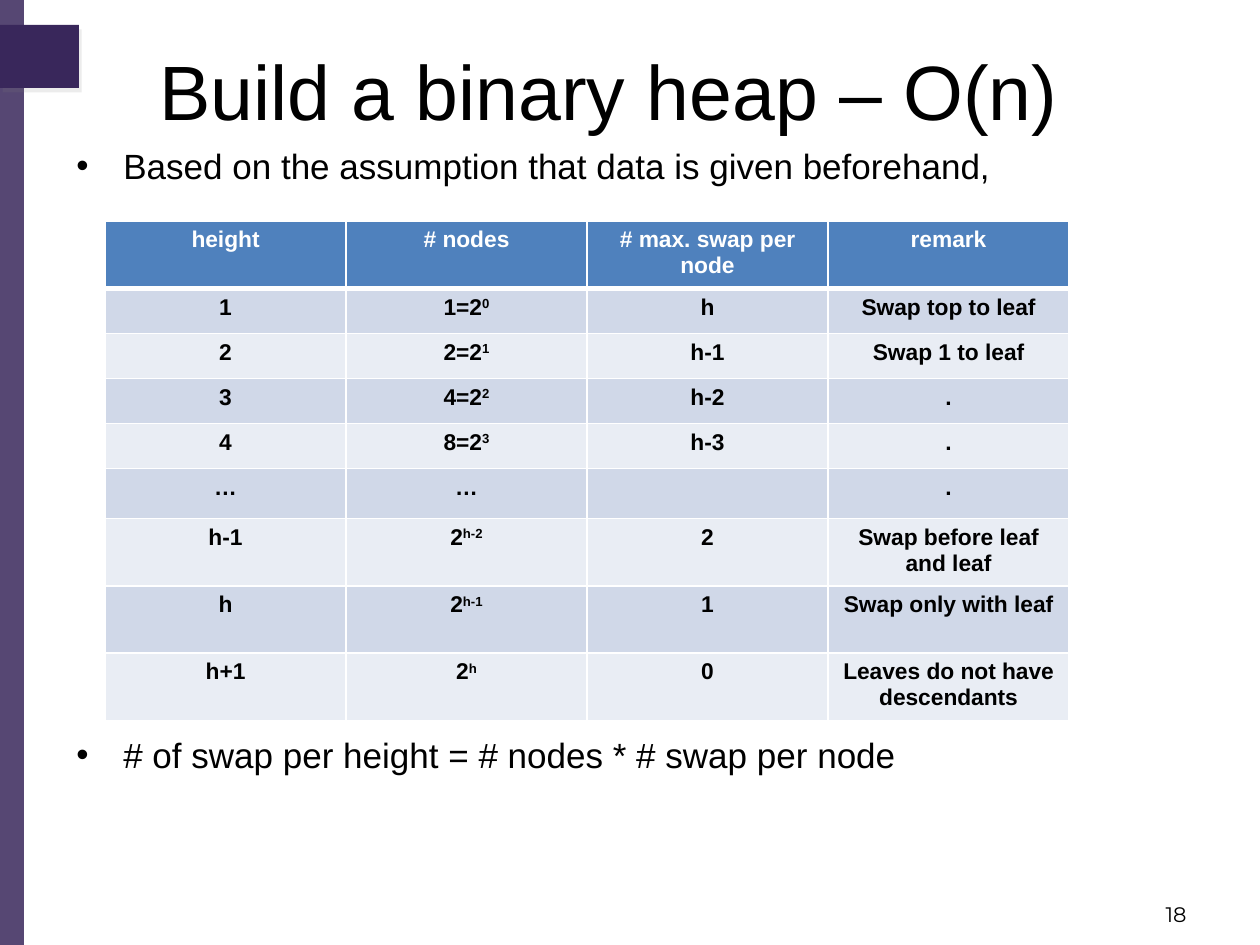
from dataclasses import dataclass

import pptx
import pptx.dml.color
import pptx.enum.shapes
import pptx.enum.text
import pptx.oxml
import pptx.oxml.ns
import pptx.util

PX = 914400 / 126
ALIGN = pptx.enum.text.PP_ALIGN
ANCHOR = pptx.enum.text.MSO_ANCHOR
NAMESPACE = pptx.oxml.ns.nsdecls("a")
PURPLE, BLACK, WHITE = "39275B", "000000", "FFFFFF"
HEADER_BLUE, BANDS = "4F81BD", ("E9EDF4", "D0D8E8")
THIN, THICK = 1, 3


@dataclass(frozen=True)
class Box:
    left: int
    top: int
    width: int
    height: int

    def emu(self) -> tuple[int, ...]:
        return tuple(px(side) for side in (self.left, self.top, self.width, self.height))


@dataclass(frozen=True)
class TextStyle:
    size: int
    color: str = BLACK
    font: str = "Arial"
    bold: bool = False


@dataclass(frozen=True)
class TableRow:
    height: int
    cells: tuple[str, str, str, str]


TITLE = TextStyle(44)
BODY = TextStyle(20)
PAGE = TextStyle(12, font="Montserrat")
HEADER = TextStyle(13, WHITE, bold=True)
CELL = TextStyle(13, bold=True)

BULLETS = (
    (136, "Based on the assumption that data is given beforehand,"),
    (725, "# of swap per height = # nodes * # swap per node"),
)

ROWS = (
    TableRow(67, ("height", "# nodes", "# max. swap per node", "remark")),
    TableRow(45, ("1", "1=2^0", "h", "Swap top to leaf")),
    TableRow(45, ("2", "2=2^1", "h-1", "Swap 1 to leaf")),
    TableRow(45, ("3", "4=2^2", "h-2", ".")),
    TableRow(45, ("4", "8=2^3", "h-3", ".")),
    TableRow(45, ("…", "…", "", ".")),
    TableRow(62, ("h-1", "2^h-2", "2", "Swap before leaf and leaf")),
    TableRow(67, ("h", "2^h-1", "1", "Swap only with leaf")),
    TableRow(67, ("h+1", "2^h", "0", "Leaves do not have descendants")),
)
COLUMN_WIDTH = 241


def px(length: int) -> int:
    return round(length * PX)


def rgb(color: str) -> pptx.dml.color.RGBColor:
    return pptx.dml.color.RGBColor.from_string(color)


def add_run(paragraph, text: str, style: TextStyle):
    run = paragraph.add_run()
    run.text = text
    run.font.size = pptx.util.Pt(style.size)
    run.font.name = style.font
    run.font.bold = style.bold
    run.font.color.rgb = rgb(style.color)
    return run


def add_text(slide, box: Box, text: str, style: TextStyle, align, anchor, top_inset: int = 0):
    frame = slide.shapes.add_textbox(*box.emu()).text_frame
    frame.word_wrap = True
    frame.vertical_anchor = anchor
    frame.margin_top, frame.margin_bottom = px(top_inset), 0
    paragraph = frame.paragraphs[0]
    paragraph.alignment = align
    add_run(paragraph, text, style)
    return paragraph


def add_bullet(slide, top: int, text: str) -> None:
    box = Box(64, top, 1134, 62)
    paragraph = add_text(slide, box, text, BODY, ALIGN.LEFT, ANCHOR.TOP, top_inset=9)
    properties = paragraph._p.get_or_add_pPr()
    properties.set("marL", str(px(47)))
    properties.set("indent", str(-px(47)))
    properties.append(pptx.oxml.parse_xml(f'<a:buFont {NAMESPACE} typeface="Arial"/>'))
    properties.append(pptx.oxml.parse_xml(f'<a:buChar {NAMESPACE} char="•"/>'))


def add_block(slide, box: Box, color: str):
    shape = slide.shapes.add_shape(pptx.enum.shapes.MSO_SHAPE.RECTANGLE, *box.emu())
    shape.fill.solid()
    shape.fill.fore_color.rgb = rgb(color)
    shape.line.fill.background()
    shape.shadow.inherit = False
    return shape


def add_side_decoration(slide) -> None:
    bar = add_block(slide, Box(0, 0, 24, 945), PURPLE)
    color = bar._element.spPr.find(".//" + pptx.oxml.ns.qn("a:srgbClr"))
    color.append(pptx.oxml.parse_xml(f'<a:alpha {NAMESPACE} val="85000"/>'))

    tag = add_block(slide, Box(0, 25, 79, 63), PURPLE)
    effects = tag._element.spPr.find(pptx.oxml.ns.qn("a:effectLst"))
    effects.append(pptx.oxml.parse_xml(
        f'<a:outerShdw {NAMESPACE} blurRad="0" dist="{pptx.util.Pt(3)}" dir="3600000" '
        'rotWithShape="0"><a:srgbClr val="808080"><a:alpha val="15000"/></a:srgbClr>'
        '</a:outerShdw>'))


def set_borders(cell, top: int, bottom: int) -> None:
    properties = cell._tc.get_or_add_tcPr()
    for side, width in (("L", THIN), ("R", THIN), ("T", top), ("B", bottom)):
        properties.append(pptx.oxml.parse_xml(
            f'<a:ln{side} {NAMESPACE} w="{pptx.util.Pt(width)}"><a:solidFill>'
            f'<a:srgbClr val="{WHITE}"/></a:solidFill></a:ln{side}>'))


def fill_cell(cell, text: str, style: TextStyle, color: str) -> None:
    cell.fill.solid()
    cell.fill.fore_color.rgb = rgb(color)
    paragraph = cell.text_frame.paragraphs[0]
    paragraph.alignment = ALIGN.CENTER
    base, _, exponent = text.partition("^")
    add_run(paragraph, base, style)
    if exponent:
        run = add_run(paragraph, exponent, style)
        run.font._element.set("baseline", "30000")


def add_heap_table(slide) -> None:
    columns = len(ROWS[0].cells)
    box = Box(105, 221, COLUMN_WIDTH * columns, sum(row.height for row in ROWS))
    table = slide.shapes.add_table(len(ROWS), columns, *box.emu()).table
    for column in table.columns:
        column.width = px(COLUMN_WIDTH)
    for index, row in enumerate(ROWS):
        table.rows[index].height = px(row.height)
        style, color = (CELL, BANDS[index % 2]) if index else (HEADER, HEADER_BLUE)
        top = THICK if index == 1 else THIN
        bottom = THICK if index == 0 else THIN
        for column, text in enumerate(row.cells):
            cell = table.cell(index, column)
            set_borders(cell, top, bottom)
            fill_cell(cell, text, style, color)


def main() -> None:
    presentation = pptx.Presentation()
    presentation.slide_width, presentation.slide_height = px(1260), px(945)
    slide = presentation.slides.add_slide(presentation.slide_layouts[6])
    add_side_decoration(slide)
    add_text(slide, Box(42, 32, 1134, 116), "Build a binary heap – O(n)",
             TITLE, ALIGN.CENTER, ANCHOR.MIDDLE)
    for top, text in BULLETS:
        add_bullet(slide, top, text)
    add_text(slide, Box(1103, 903, 96, 23), "18", PAGE, ALIGN.RIGHT, ANCHOR.MIDDLE)
    add_heap_table(slide)
    presentation.save("out.pptx")


if __name__ == "__main__":
    main()
